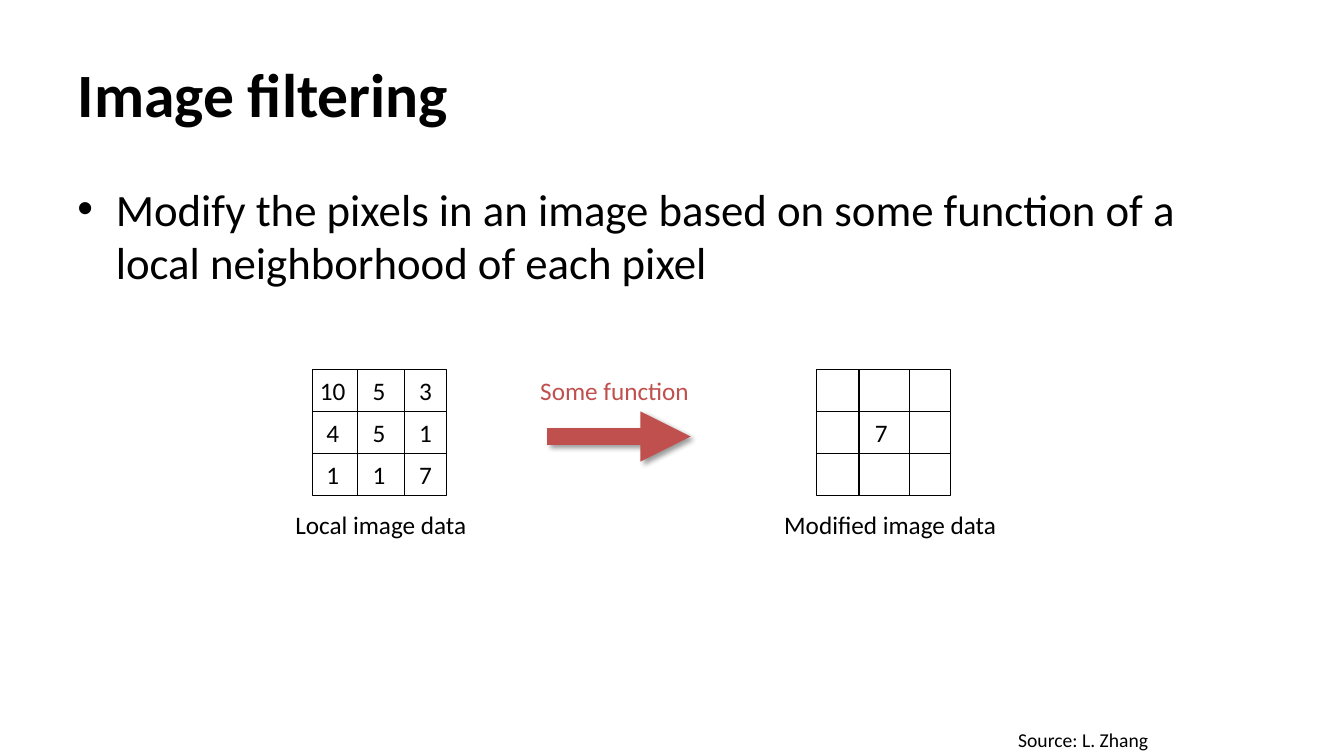
from lxml.etree import SubElement as Sub
from pptx import Presentation
from pptx.dml.color import RGBColor
from pptx.enum.shapes import MSO_CONNECTOR as Conn, MSO_SHAPE as Shape
from pptx.enum.text import MSO_ANCHOR as Anchor, PP_ALIGN as Align
from pptx.oxml import parse_xml
from pptx.oxml.ns import nsdecls, qn
from pptx.util import Inches, Pt

BLACK, RED = "000000", "C0504D"
TOP, SIDE, TALL = 3.67, 1.33, 1.25
ROW = TALL / 3

deck = Presentation()
deck.slide_width, deck.slide_height = Inches(13.33), Inches(7.5)
slide = deck.slides.add_slide(deck.slide_layouts[5])


def write(box, text, size, color=BLACK, align=Align.LEFT, bold=False):
    para = box.text_frame.paragraphs[0]
    para.text = text
    para.alignment = align
    font = para.font
    font.name, font.size, font.bold = "Calibri", Pt(size), bold
    font.color.rgb = RGBColor.from_string(color)


def draw(x1, y1, x2, y2, color=BLACK, width=0.75):
    line = slide.shapes.add_connector(
        Conn.STRAIGHT, Inches(x1), Inches(y1), Inches(x2), Inches(y2))
    line.line.color.rgb = RGBColor.from_string(color)
    line.line.width = Pt(width)
    Sub(line._element.spPr, qn("a:effectLst"))
    return line


title = slide.shapes.title
title.left, title.top, title.width, title.height = map(Inches, (0.67, 0.3, 12, 1.25))
title.text_frame.vertical_anchor = Anchor.MIDDLE
write(title, "Image filtering", 44, bold=True)

body = slide.shapes.add_textbox(*map(Inches, (0.67, 1.75, 12, 4.95)))
body.text_frame.word_wrap = True
props = body.text_frame.paragraphs[0]._p.get_or_add_pPr()
props.set("marL", str(Inches(0.38)))
props.set("indent", str(-Inches(0.38)))
Sub(props, qn("a:buFont"), typeface="Arial")
Sub(props, qn("a:buChar"), char="•")
write(body, "Modify the pixels in an image based on some function "
      "of a local neighborhood of each pixel", 32)

grids = [
    (3.1, (0.45, 0.91), (0.2, 0.66, 1.12), ["10 5 3", "4 5 1", "1 1 7"]),
    (8.1, (0.42, 0.92), (0.64,), ["", "7", ""]),
]
for left, cuts, mids, rows in grids:
    frame = slide.shapes.add_shape(
        Shape.RECTANGLE, *map(Inches, (left, TOP, SIDE, TALL)))
    frame.shadow.inherit = False
    frame.fill.background()
    frame.line.color.rgb = RGBColor.from_string(BLACK)
    frame.line.width = Pt(0.75)
    for cut in cuts:
        draw(left + cut, TOP, left + cut, TOP + TALL)
    for step in (1, 2):
        draw(left, TOP + step * ROW, left + SIDE, TOP + step * ROW)
    for step, row in enumerate(rows):
        for mid, value in zip(mids, row.split()):
            cell = slide.shapes.add_textbox(
                *map(Inches, (left + mid - 0.23, TOP + step * ROW, 0.46, 0.4)))
            cell.text_frame.word_wrap = False
            write(cell, value, 18, align=Align.CENTER)

arrow = draw(5.43, 4.33, 6.85, 4.33, RED, 12)
Sub(arrow.line._get_or_add_ln(), qn("a:tailEnd"), type="triangle")
arrow._element.spPr.find(qn("a:effectLst")).append(parse_xml(
    f'<a:outerShdw {nsdecls("a")} blurRad="{Pt(4)}" dist="{Pt(3)}" dir="2700000">'
    '<a:srgbClr val="000000"><a:alpha val="40000"/></a:srgbClr></a:outerShdw>'))

labels = [
    ("Local image data", 2.83, 5, 1.92, 18, BLACK),
    ("Modified image data", 7.68, 5, 2.33, 18, BLACK),
    ("Some function", 5.26, TOP, 1.7, 18, RED),
    ("Source: L. Zhang", 10, 7.17, 1.5, 14, BLACK),
]
for text, left, top, width, size, color in labels:
    label = slide.shapes.add_textbox(*map(Inches, (left, top, width, size / 45)))
    label.text_frame.word_wrap = False
    write(label, text, size, color)

deck.save("out.pptx")
